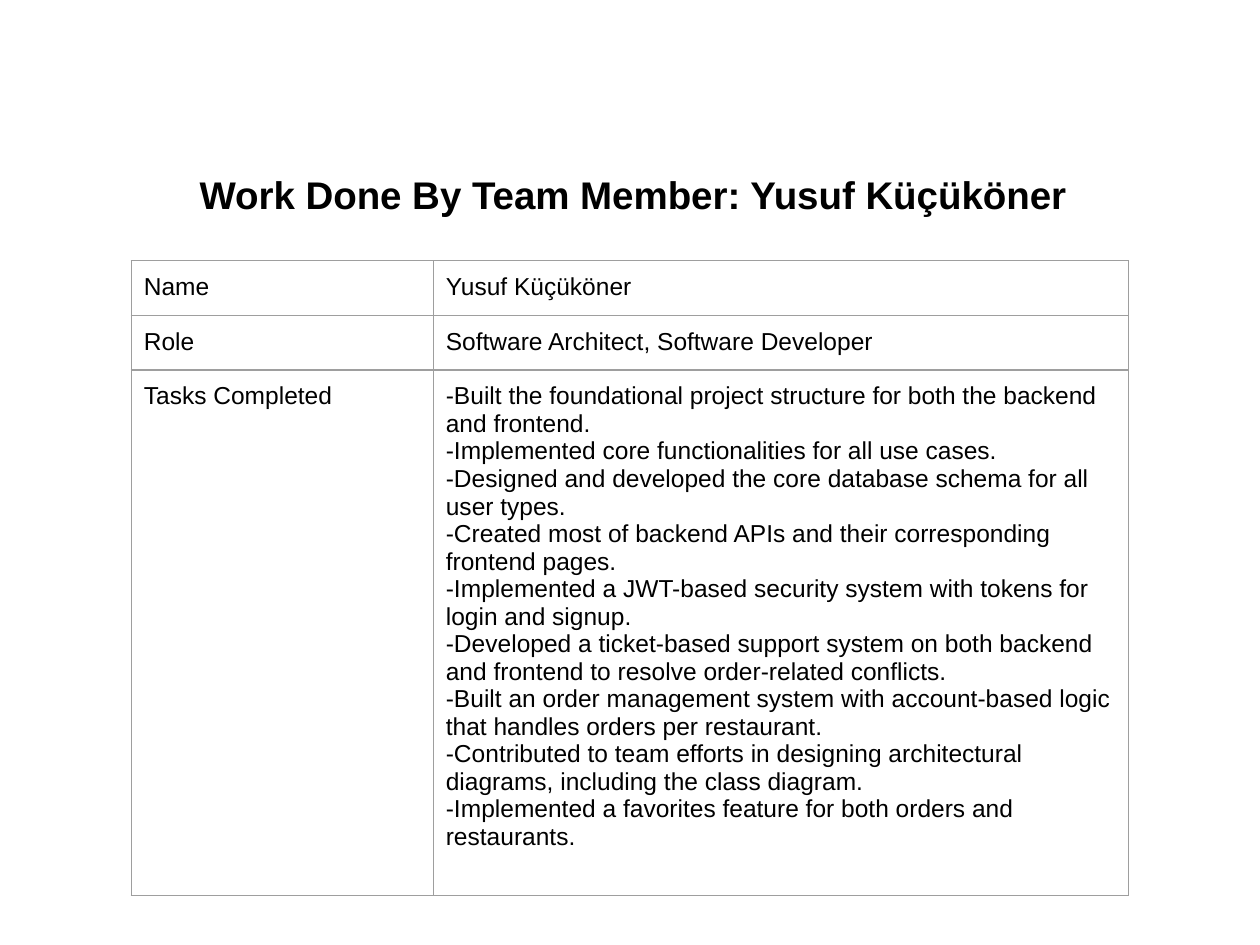
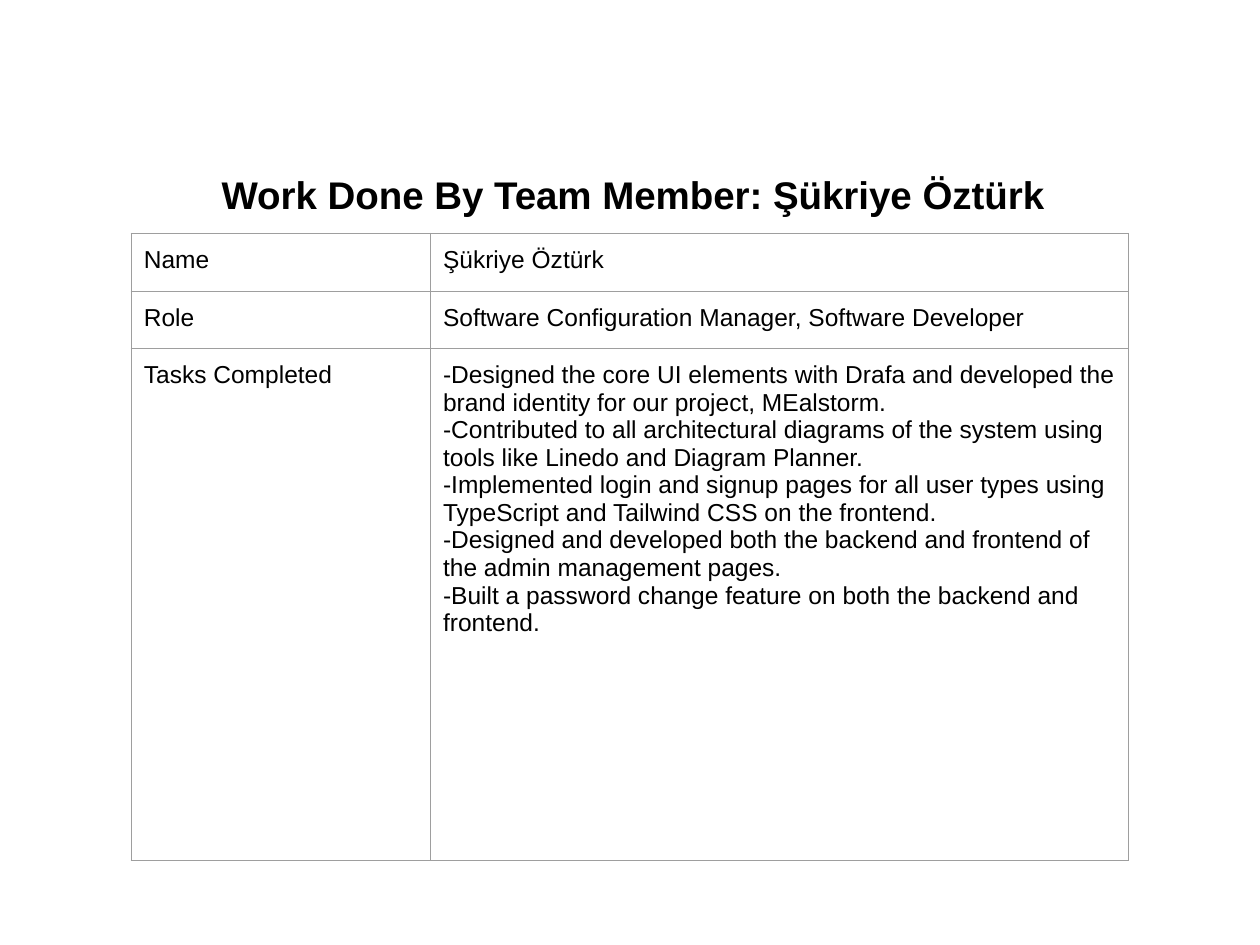
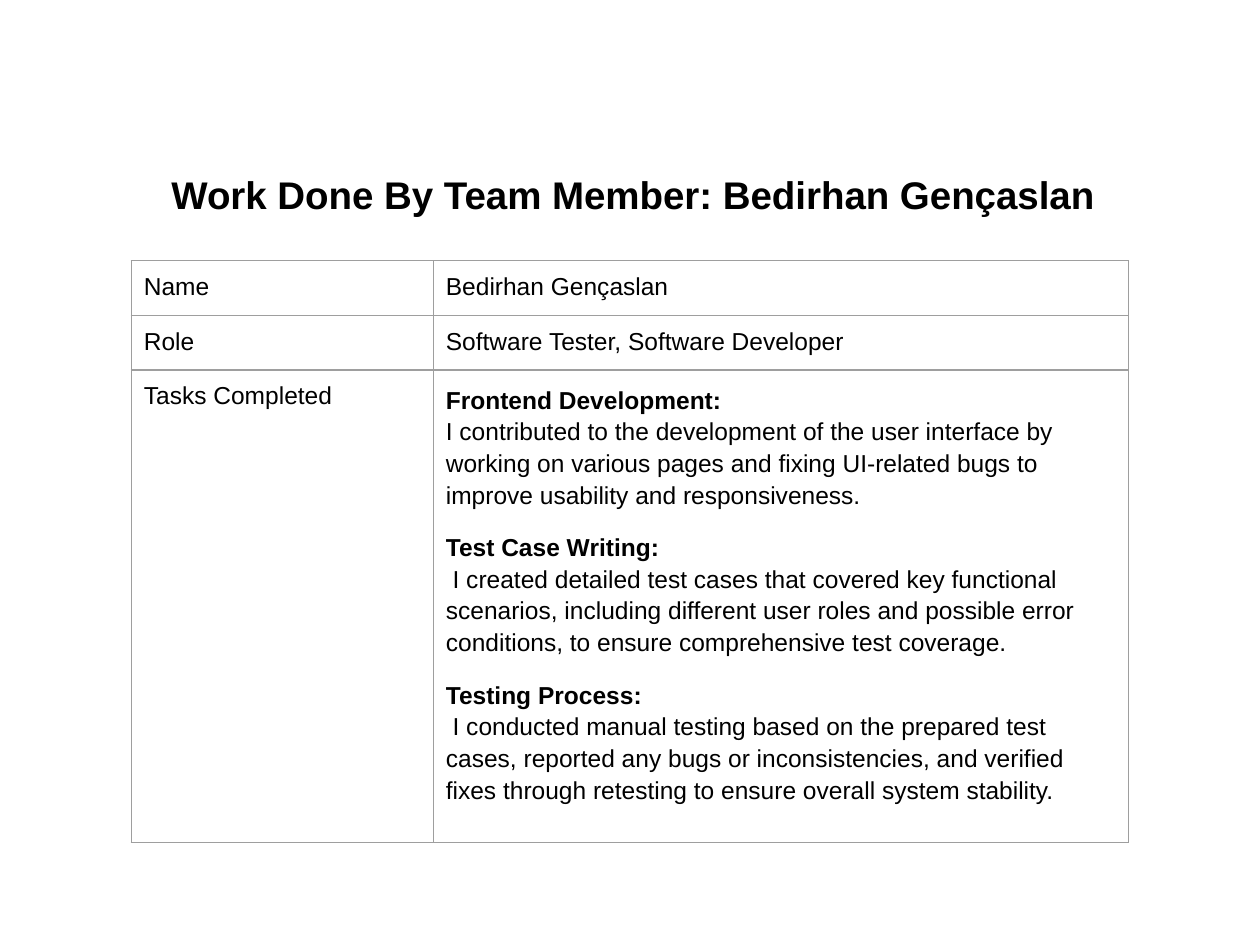
"""Build three slides that list the work done by each team member."""
import pptx
import pptx.dml.color
import pptx.enum.text
import pptx.oxml
import pptx.oxml.ns
import pptx.util

Pt = pptx.util.Pt

THEME = {
    "font": "Arial",
    "ink": pptx.dml.color.RGBColor(0, 0, 0),
    "rule": "9E9E9E",
    "rule_width": Pt(0.75),
    "title_size": Pt(22),
    "body_size": Pt(14),
    "inset": Pt(7.2),
    "hanging": Pt(15),
}
TITLE_BOX = (Pt(31.7), Pt(91.4), Pt(660.2), Pt(36))
TABLE_LEFT, TABLE_WIDTH = 75, 570
PLAIN_FORMAT = {}
SECTION_FORMAT = {"line_spacing": 1.15, "space_before": Pt(12), "space_after": Pt(0)}

MEMBERS = [
    {
        "name": "Yusuf Küçüköner",
        "role": "Software Architect, Software Developer",
        "top": 149, "label_width": 172.6, "heights": (31.2, 31.2, 300.2),
        "format": PLAIN_FORMAT,
        "tasks": [
            ("", "-Built the foundational project structure for both the backend and frontend."),
            ("", "-Implemented core functionalities for all use cases."),
            ("", "-Designed and developed the core database schema for all user types."),
            ("", "-Created most of backend APIs and their corresponding frontend pages."),
            ("", "-Implemented a JWT-based security system with tokens for login and signup."),
            ("", "-Developed a ticket-based support system on both backend and frontend "
                 "to resolve order-related conflicts."),
            ("", "-Built an order management system with account-based logic that handles "
                 "orders per restaurant."),
            ("", "-Contributed to team efforts in designing architectural diagrams, "
                 "including the class diagram."),
            ("", "-Implemented a favorites feature for both orders and restaurants."),
        ],
    },
    {
        "name": "Şükriye Öztürk",
        "role": "Software Configuration Manager, Software Developer",
        "top": 133.4, "label_width": 171, "heights": (33, 33, 292.4),
        "format": PLAIN_FORMAT,
        "tasks": [
            ("", "-Designed the core UI elements with Drafa and developed the brand "
                 "identity for our project, MEalstorm."),
            ("", "-Contributed to all architectural diagrams of the system using tools "
                 "like Linedo and Diagram Planner."),
            ("", "-Implemented login and signup pages for all user types using TypeScript "
                 "and Tailwind CSS on the frontend."),
            ("", "-Designed and developed both the backend and frontend of the admin "
                 "management pages."),
            ("", "-Built a password change feature on both the backend and frontend."),
        ],
    },
    {
        "name": "Bedirhan Gençaslan",
        "role": "Software Tester, Software Developer",
        "top": 149, "label_width": 172.6, "heights": (31.2, 31.2, 270),
        "format": SECTION_FORMAT,
        "tasks": [
            ("Frontend Development:",
             "I contributed to the development of the user interface by working on various "
             "pages and fixing UI-related bugs to improve usability and responsiveness."),
            ("Test Case Writing:",
             " I created detailed test cases that covered key functional scenarios, including "
             "different user roles and possible error conditions, to ensure comprehensive "
             "test coverage."),
            ("Testing Process:",
             " I conducted manual testing based on the prepared test cases, reported any bugs "
             "or inconsistencies, and verified fixes through retesting to ensure overall "
             "system stability."),
        ],
    },
]


def add_span(para, text, size, bold=False):
    span = para.add_run()
    span.text = text
    for key, value in {"name": THEME["font"], "size": size, "bold": bold}.items():
        setattr(span.font, key, value)
    span.font.color.rgb = THEME["ink"]


def style_cell(cell):
    for side in ("left", "right", "top", "bottom"):
        setattr(cell, f"margin_{side}", THEME["inset"])
    properties = cell._tc.get_or_add_tcPr()
    for edge in "LRTB":
        properties.append(pptx.oxml.parse_xml(
            f'<a:ln{edge} {pptx.oxml.ns.nsdecls("a")} w="{THEME["rule_width"]}">'
            f'<a:solidFill><a:srgbClr val="{THEME["rule"]}"/></a:solidFill></a:ln{edge}>'))
    cell.fill.background()


deck = pptx.Presentation()
deck.slide_width, deck.slide_height = Pt(720), Pt(540)

for member in MEMBERS:
    page = deck.slides.add_slide(deck.slide_layouts[6])

    box = page.shapes.add_textbox(*TITLE_BOX)
    box.text_frame.word_wrap = True
    para = box.text_frame.paragraphs[0]
    para.alignment = pptx.enum.text.PP_ALIGN.CENTER
    para.line_spacing = 1.1
    indents = para._p.get_or_add_pPr()
    indents.set("marL", str(THEME["hanging"]))
    indents.set("indent", str(-THEME["hanging"]))
    add_span(para, f"Work Done By Team Member: {member['name']}", THEME["title_size"], True)

    heights = member["heights"]
    table = page.shapes.add_table(
        len(heights), 2, Pt(TABLE_LEFT), Pt(member["top"]),
        Pt(TABLE_WIDTH), Pt(sum(heights))).table
    table.first_row = table.horz_banding = False
    table.columns[0].width = Pt(member["label_width"])
    table.columns[1].width = Pt(TABLE_WIDTH - member["label_width"])

    entries = [
        ("Name", [("", member["name"])], PLAIN_FORMAT),
        ("Role", [("", member["role"])], PLAIN_FORMAT),
        ("Tasks Completed", member["tasks"], member["format"]),
    ]
    for row, height, (label, lines, line_format) in zip(table.rows, heights, entries):
        row.height = Pt(height)
        label_cell, detail_cell = row.cells
        style_cell(label_cell)
        style_cell(detail_cell)
        add_span(label_cell.text_frame.paragraphs[0], label, THEME["body_size"])
        frame = detail_cell.text_frame
        for number, (heading, text) in enumerate(lines):
            para = frame.add_paragraph() if number else frame.paragraphs[0]
            for key, value in line_format.items():
                setattr(para, key, value)
            if heading:
                add_span(para, heading, THEME["body_size"], True)
                para.add_line_break()
            add_span(para, text, THEME["body_size"])

deck.save("out.pptx")
